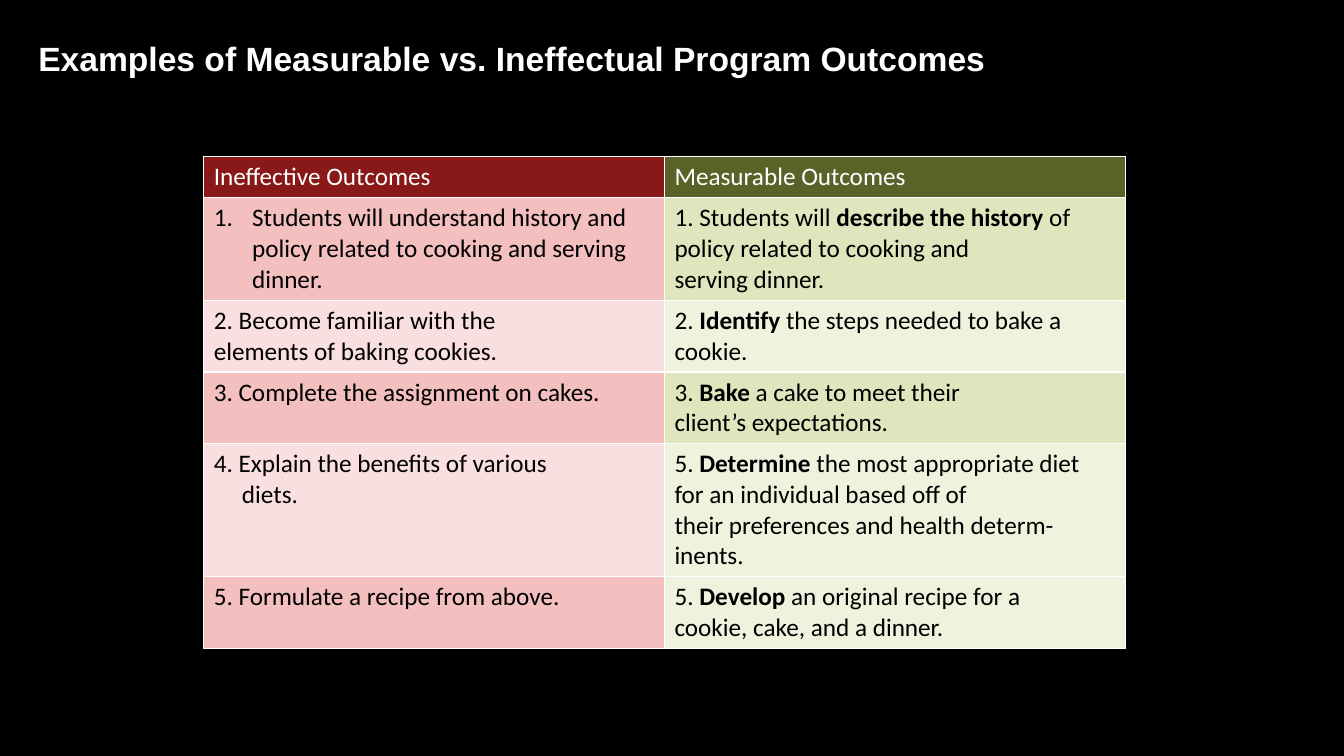
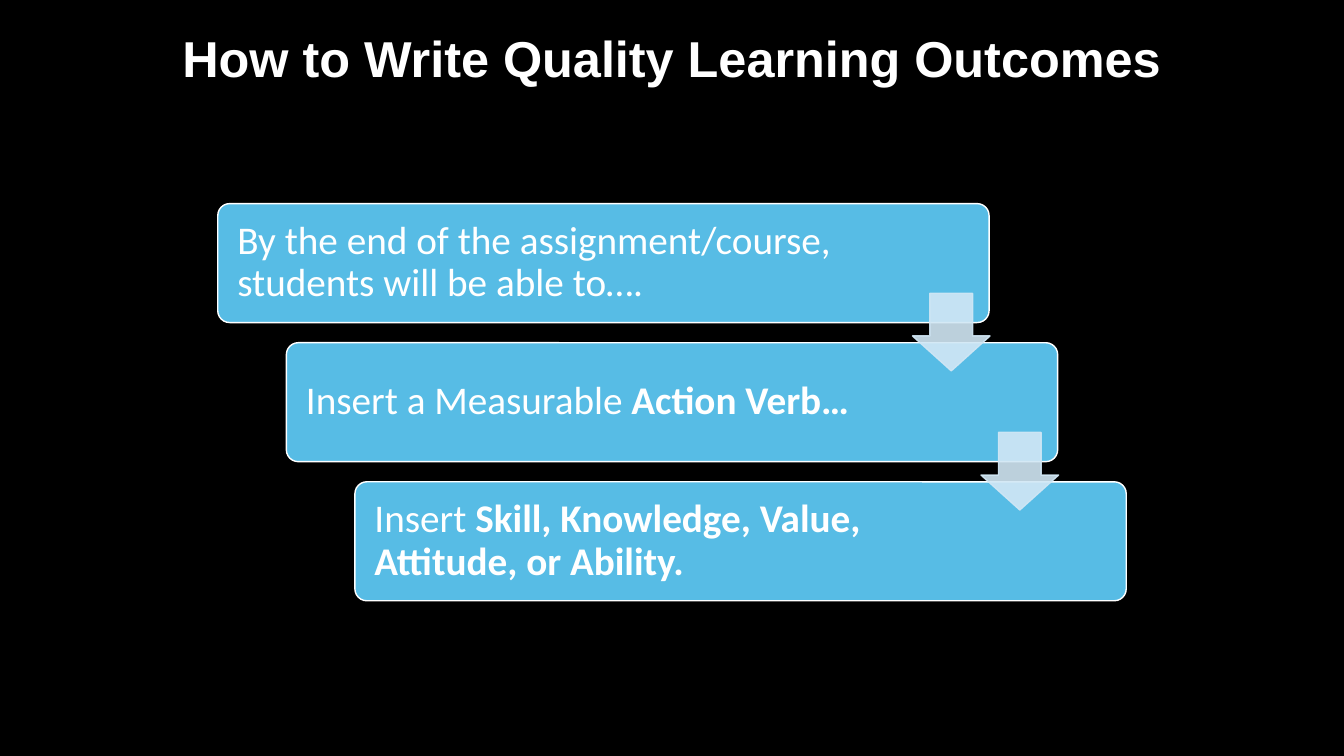
from pptx import Presentation
from pptx.dml.color import RGBColor
from pptx.enum import shapes, text
from pptx.oxml import parse_xml
from pptx.oxml.ns import nsdecls, qn
from pptx.util import Inches, Pt

BLACK = RGBColor(0x00, 0x00, 0x00)
WHITE = RGBColor(0xFF, 0xFF, 0xFF)
RED = RGBColor(0x89, 0x18, 0x18)
RED_MID = RGBColor(0xF4, 0xBF, 0xBF)
RED_PALE = RGBColor(0xF9, 0xDF, 0xDF)
GREEN = RGBColor(0x5A, 0x63, 0x27)
GREEN_MID = RGBColor(0xDF, 0xE5, 0xBC)
GREEN_PALE = RGBColor(0xEF, 0xF2, 0xDD)
BLUE = RGBColor(0x57, 0xBC, 0xE5)
BLUE_PALE = RGBColor(0xD1, 0xE7, 0xF5)


def write(tf, content, size=18, font="Calibri", color=BLACK, bold=False,
          align=text.PP_ALIGN.LEFT, spacing=None):
    """Fill tf: one paragraph a line, with **marked** words in bold."""
    tf.word_wrap = True
    for i, line in enumerate(content.split("\n")):
        p = tf.paragraphs[0] if i == 0 else tf.add_paragraph()
        p.alignment = align
        p.line_spacing = spacing
        for j, part in enumerate(line.split("**")):
            if part:
                r = p.add_run()
                r.text = part
                r.font.name = font
                r.font.size = Pt(size)
                r.font.color.rgb = color
                r.font.bold = bold or j % 2 == 1


def add_titled_slide(title, size, align, margin=0.1):
    s = prs.slides.add_slide(prs.slide_layouts[5])
    sp = s.shapes.title
    sp.left, sp.top = Inches(0), Inches(0.02)
    sp.width, sp.height = prs.slide_width, Inches(1.17)
    tf = sp.text_frame
    tf.auto_size = text.MSO_AUTO_SIZE.NONE
    tf.vertical_anchor = text.MSO_ANCHOR.MIDDLE
    tf.margin_left = Inches(margin)
    write(tf, title, size=size, font="Arial", color=WHITE, bold=True,
          align=align, spacing=0.9)
    return s


prs = Presentation()
prs.slide_width, prs.slide_height = Inches(13.33), Inches(7.5)
background = prs.slide_master.background.fill
background.solid()
background.fore_color.rgb = BLACK

# Slide 1: outcome comparison
s = add_titled_slide("Examples of Measurable vs. Ineffectual Program Outcomes",
                     24, text.PP_ALIGN.LEFT, margin=0.38)
outcomes = [
    ("Ineffective Outcomes", "Measurable Outcomes"),
    ("Students will understand history and policy related to cooking "
     "and serving dinner.",
     "1. Students will **describe the history** of policy related to "
     "cooking and\nserving dinner."),
    ("2. Become familiar with the\nelements of baking cookies.",
     "2. **Identify** the steps needed to bake a cookie."),
    ("3. Complete the assignment on cakes.",
     "3. **Bake** a cake to meet their\nclient’s expectations."),
    ("4. Explain the benefits of various\ndiets.",
     "5. **Determine** the most appropriate diet for an individual based "
     "off of\ntheir preferences and health determ-\ninents."),
    ("5. Formulate a recipe from above.",
     "5. **Develop** an original recipe for a\ncookie, cake, and a dinner."),
]
row_heights = [0.41, 1.02, 0.71, 0.71, 1.32, 0.71]
row_fills = [(RED, GREEN), (RED_MID, GREEN_MID), (RED_PALE, GREEN_PALE),
             (RED_MID, GREEN_MID), (RED_PALE, GREEN_PALE),
             (RED_MID, GREEN_PALE)]

table = s.shapes.add_table(len(outcomes), 2, Inches(2.02), Inches(1.55),
                           Inches(9.15), Inches(sum(row_heights))).table
table.first_row = table.horz_banding = False
for column in table.columns:
    column.width = Inches(4.57)
for i, (row, height) in enumerate(zip(table.rows, row_heights)):
    row.height = Inches(height)
    for cell, content, fill in zip(row.cells, outcomes[i], row_fills[i]):
        cell.fill.solid()
        cell.fill.fore_color.rgb = fill
        cell.margin_right = Inches(0.15)
        write(cell.text_frame, content, color=BLACK if i else WHITE)
        tc_pr = cell._tc.get_or_add_tcPr()
        for k, side in enumerate(("lnL", "lnR", "lnT", "lnB")):
            tc_pr.insert(k, parse_xml(
                f'<a:{side} {nsdecls("a")} w="{Pt(1)}"><a:solidFill>'
                f'<a:srgbClr val="{WHITE}"/></a:solidFill></a:{side}>'))

numbered = table.cell(1, 0).text_frame.paragraphs[0]._p.get_or_add_pPr()
numbered.set("marL", str(Inches(0.38)))
numbered.set("indent", str(-Inches(0.38)))
numbered.append(parse_xml(
    f'<a:buAutoNum {nsdecls("a")} type="arabicPeriod"/>'))
hanging = table.cell(4, 0).text_frame.paragraphs[1]._p.get_or_add_pPr()
hanging.set("marL", str(Inches(0.28)))

# Slide 2: staircase of steps
s = add_titled_slide("How to Write Quality Learning Outcomes",
                     36, text.PP_ALIGN.CENTER)
steps = [
    "By the end of the assignment/course, students will be able to….",
    "Insert a Measurable **Action Verb…**",
    "Insert **Skill, Knowledge, Value, Attitude, or Ability.**",
]
STEP_X, STEP_Y = 0.68, 1.38

for i, step in enumerate(steps):
    sp = s.shapes.add_shape(
        shapes.MSO_SHAPE.ROUNDED_RECTANGLE,
        Inches(2.16 + i * STEP_X), Inches(2.02 + i * STEP_Y),
        Inches(7.65), Inches(1.18))
    sp.adjustments[0] = 0.1
    sp.shadow.inherit = False
    sp.fill.solid()
    sp.fill.fore_color.rgb = BLUE
    sp.line.color.rgb = WHITE
    sp.line.width = Pt(1)
    tf = sp.text_frame
    tf.vertical_anchor = text.MSO_ANCHOR.MIDDLE
    tf.margin_left, tf.margin_right = Inches(0.16), Inches(1.5)
    write(tf, step, size=28, color=WHITE, spacing=0.9)

for i in range(len(steps) - 1):
    sp = s.shapes.add_shape(
        shapes.MSO_SHAPE.DOWN_ARROW,
        Inches(9.05 + i * STEP_X), Inches(2.91 + i * STEP_Y),
        Inches(0.77), Inches(0.77))
    sp.adjustments[0], sp.adjustments[1] = 0.55, 0.45
    sp.shadow.inherit = False
    sp.fill.solid()
    sp.fill.fore_color.rgb = BLUE_PALE
    sp.line.color.rgb = BLUE_PALE
    sp.line.width = Pt(1)
    for color in sp._element.spPr.iter(qn("a:srgbClr")):
        color.append(parse_xml(f'<a:alpha {nsdecls("a")} val="90000"/>'))

prs.save("out.pptx")
